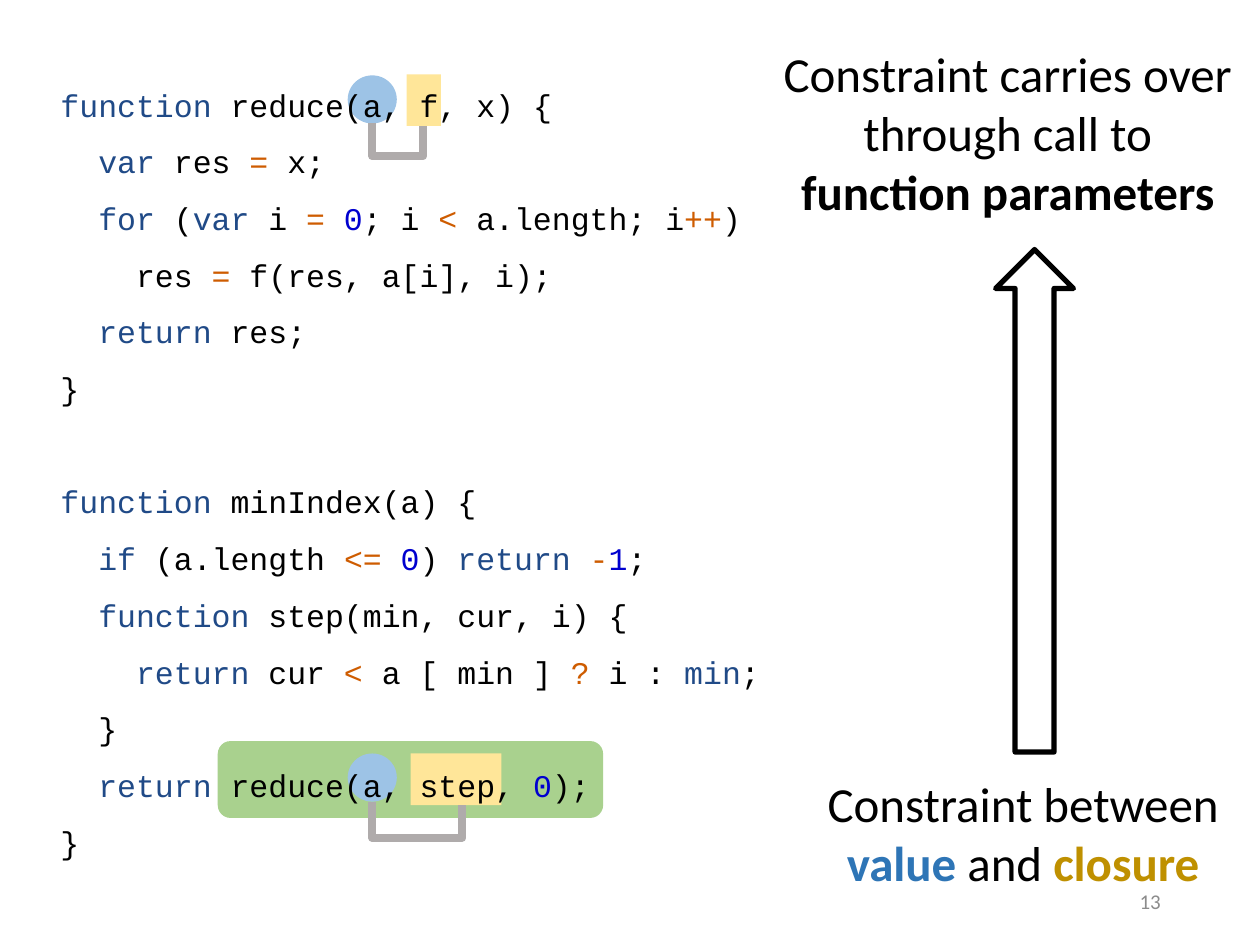
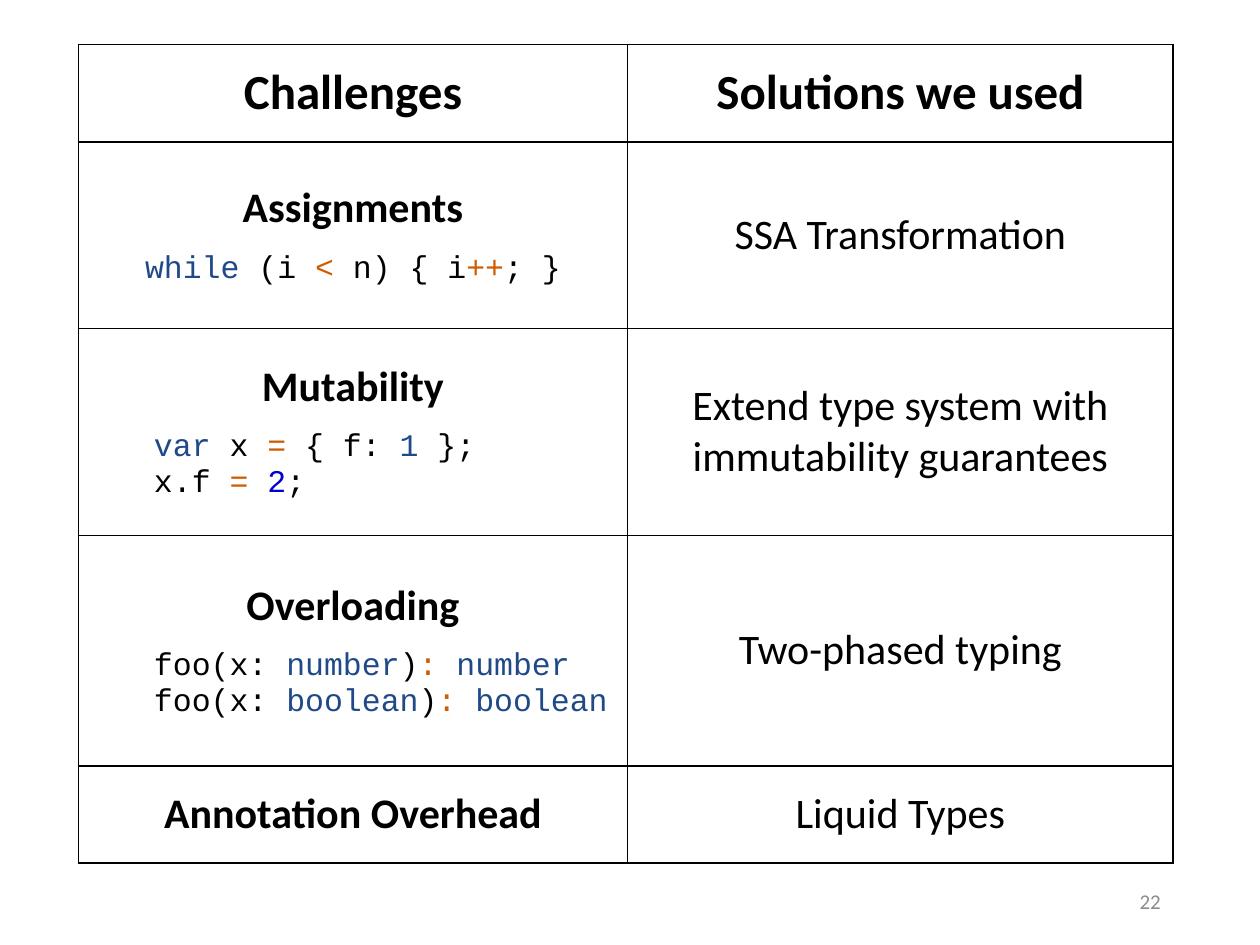
"""Build two slides on constraint inference: a call example and a table of challenges."""
from lxml.etree import SubElement
from pptx import Presentation
from pptx.dml.color import RGBColor
from pptx.enum.shapes import MSO_CONNECTOR, MSO_SHAPE
from pptx.enum.text import MSO_ANCHOR, PP_ALIGN
from pptx.oxml.ns import qn
from pptx.util import Cm, Pt

COLORS = {
    "text": "000000",
    "keyword": "204A87",
    "operator": "CE5C00",
    "number": "0000CF",
    "value": "2E75B6",
    "closure": "BF9000",
    "call_fill": "A9D18E",
    "value_fill": "9DC3E6",
    "closure_fill": "FFE699",
    "bracket": "AFABAB",
    "page": "8C8C8C",
}
MARKS = {
    "k": ("keyword", False),
    "o": ("operator", False),
    "n": ("number", False),
    "v": ("value", True),
    "c": ("closure", True),
    "b": ("text", True),
}
CODE = {"size": 18, "font": "Courier New"}
CAPTION = {"size": 28, "align": PP_ALIGN.CENTER}
CELL = {"size": 24, "align": PP_ALIGN.CENTER}

REDUCE = [
    "~kfunction~ reduce(a, f, x) {",
    "  ~kvar~ res ~o=~ x;",
    "  ~kfor~ (~kvar ~i ~o= ~~n0~; i ~o< ~a.length; i~o++~)",
    "    res ~o=~ f(res, a[i], i);",
    "  ~kreturn~ res;",
    "}",
]
MIN_INDEX = [
    "~kfunction ~minIndex(a) {",
    "  ~kif~ (a.length ~o<= ~~n0~) ~kreturn ~~o-~~n1~;",
    "  ~kfunction~ step(min, cur, i) {",
    "    ~kreturn~ cur ~o<~ a [ min ] ~o? ~i : ~kmin~;",
    "  }",
    "  ~kreturn~ reduce(a, step, ~n0~);",
    "}",
]
CHALLENGES = [
    ("Assignments", ["~kwhile~ (i ~o<~ n) { i~o++~; }"], "SSA Transformation"),
    ("Mutability", ["~kvar~ x ~o=~ { f: ~k1~ };", "x.f ~o= ~~n2~;"],
     "Extend type system with immutability guarantees"),
    ("Overloading", ["foo(x: ~knumber~)~o: ~~knumber~",
                     "foo(x: ~kboolean~)~o: ~~kboolean~"], "Two-phased typing"),
    ("Annotation Overhead", [], "Liquid Types"),
]
COLUMN_WIDTHS = [11.07, 11]
ROW_HEIGHTS = [1.96, 3.76, 4.17, 4.65, 1.96]


def color(name):
    return RGBColor.from_string(COLORS[name])


def write(frame, text, size=18, font="Calibri", tone="text", bold=False,
          align=PP_ALIGN.LEFT, spacing=1.0, before=0, indent=0):
    """Add a paragraph; a stretch like ~kvar~ takes the format of mark k."""
    paragraph = frame.paragraphs[-1]
    if paragraph.runs:
        paragraph = frame.add_paragraph()
    paragraph.alignment = align
    paragraph.line_spacing = spacing
    if before:
        paragraph.space_before = Pt(before)
    if indent:
        paragraph._p.get_or_add_pPr().set("marL", str(Cm(indent)))
    for index, part in enumerate(text.split("~")):
        if not part:
            continue
        part_tone, part_bold = tone, bold
        if index % 2:
            part_tone, part_bold = MARKS[part[0]]
            part = part[1:]
        run = paragraph.add_run()
        run.text = part
        run.font.name = font
        run.font.size = Pt(size)
        run.font.bold = part_bold
        run.font.color.rgb = color(part_tone)


def add_text_frame(slide, left, top, width, height, anchor=MSO_ANCHOR.TOP):
    box = slide.shapes.add_textbox(Cm(left), Cm(top), Cm(width), Cm(height))
    frame = box.text_frame
    frame.word_wrap = True
    frame.vertical_anchor = anchor
    return frame


def add_page_number(slide, number):
    frame = add_text_frame(slide, 17.93, 17.65, 5.72, 1.02, MSO_ANCHOR.MIDDLE)
    write(frame, str(number), size=12, tone="page", align=PP_ALIGN.RIGHT)


def add_highlight(slide, kind, left, top, width, height, fill):
    shape = slide.shapes.add_shape(kind, Cm(left), Cm(top), Cm(width), Cm(height))
    shape.shadow.inherit = False
    shape.fill.solid()
    shape.fill.fore_color.rgb = color(fill)
    shape.line.fill.background()


def add_bracket(slide, start_x, start_y, end_x, end_y, drop):
    """Join two points by an elbow connector that dips below both of them."""
    rise, span = end_y - start_y, end_x - start_x
    left = (start_x + end_x - rise) / 2
    top = (start_y + end_y - span) / 2
    connector = slide.shapes.add_connector(
        MSO_CONNECTOR.ELBOW, Cm(left), Cm(top), Cm(left + rise), Cm(top + span))
    connector.line.color.rgb = color("bracket")
    connector.line.width = Pt(4.5)
    properties = connector._element.spPr
    SubElement(properties, qn("a:effectLst"))
    transform = properties.find(qn("a:xfrm"))
    transform.set("rot", str(270 * 60000))
    transform.set("flipH", "1")
    adjustments = properties.find(qn("a:prstGeom")).get_or_add_avLst()
    SubElement(adjustments, qn("a:gd"), name="adj1",
               fmla=f"val {round(drop / rise * 100000)}")


def add_argument_pair(slide, value_top, closure_box, bracket_end, drop):
    """Highlight a value and a closure argument and bracket them together."""
    left, top, width = closure_box
    value_left, value_width, value_height, closure_height = 7.01, 0.99, 0.97, 1.04
    add_highlight(slide, MSO_SHAPE.RECTANGLE, left, top, width, closure_height,
                  "closure_fill")
    add_highlight(slide, MSO_SHAPE.OVAL, value_left, value_top, value_width,
                  value_height, "value_fill")
    add_bracket(slide, value_left + value_width / 2, value_top + value_height,
                bracket_end, top + closure_height, drop)


def add_up_arrow(slide, left, top, width, height):
    arrow = slide.shapes.add_shape(
        MSO_SHAPE.DOWN_ARROW, Cm(left), Cm(top), Cm(width), Cm(height))
    arrow.rotation = 180
    arrow.shadow.inherit = False
    arrow.fill.background()
    arrow.line.color.rgb = color("text")
    arrow.line.width = Pt(3)


def set_borders(cell):
    properties = cell._tc.get_or_add_tcPr()
    for position, side in enumerate(("lnL", "lnR", "lnT", "lnB")):
        line = SubElement(properties, qn(f"a:{side}"), w=str(Pt(1)))
        fill = SubElement(line, qn("a:solidFill"))
        SubElement(fill, qn("a:srgbClr"), val=COLORS["text"])
        properties.insert(position, line)


def add_challenge_table(slide):
    table = slide.shapes.add_table(
        len(ROW_HEIGHTS), len(COLUMN_WIDTHS), Cm(1.58), Cm(0.9),
        Cm(sum(COLUMN_WIDTHS)), Cm(sum(ROW_HEIGHTS))).table
    table.first_row = table.horz_banding = False
    for column, width in zip(table.columns, COLUMN_WIDTHS):
        column.width = Cm(width)
    for row, height in zip(table.rows, ROW_HEIGHTS):
        row.height = Cm(height)
    for cell in table.iter_cells():
        cell.vertical_anchor = MSO_ANCHOR.MIDDLE
        cell.fill.background()
        set_borders(cell)
    for column, heading in enumerate(("Challenges", "Solutions we used")):
        write(table.cell(0, column).text_frame, heading, bold=True, **CAPTION)
    for row, (challenge, code, solution) in enumerate(CHALLENGES, start=1):
        frame = table.cell(row, 0).text_frame
        write(frame, challenge, bold=True, **CELL)
        layout = {"indent": 1.27} if len(code) > 1 else {"align": PP_ALIGN.CENTER}
        for index, line in enumerate(code):
            write(frame, line, spacing=1.0 if index else 1.5, **layout, **CODE)
        write(table.cell(row, 1).text_frame, solution, **CELL)


def build_call_slide(slide):
    add_highlight(slide, MSO_SHAPE.ROUNDED_RECTANGLE, 4.39, 14.94, 7.77, 1.55,
                  "call_fill")
    add_argument_pair(slide, 1.52, (8.2, 1.5, 0.69), 8.53, 0.66)
    add_argument_pair(slide, 15.19, (8.28, 15.19, 1.83), 9.32, 0.73)
    code = add_text_frame(slide, 0.97, 1.22, 14.88, 16.41)
    for function in (REDUCE, MIN_INDEX):
        for line in function:
            gap = 32.4 if line == MIN_INDEX[0] else 0
            write(code, line, spacing=1.5, before=gap, **CODE)
    add_up_arrow(slide, 20.07, 5.03, 1.57, 10.13)
    write(add_text_frame(slide, 15.54, 0.76, 9.55, 3.84),
          "Constraint carries over through call to ~bfunction parameters~", **CAPTION)
    write(add_text_frame(slide, 15.85, 15.47, 9.55, 2.64),
          "Constraint between ~vvalue ~and ~cclosure~", **CAPTION)


def main():
    presentation = Presentation()
    presentation.slide_width, presentation.slide_height = Cm(25.4), Cm(19.05)
    blank_layout = presentation.slide_layouts[6]
    for build, number in ((build_call_slide, 13), (add_challenge_table, 22)):
        slide = presentation.slides.add_slide(blank_layout)
        build(slide)
        add_page_number(slide, number)
    presentation.save("out.pptx")


if __name__ == "__main__":
    main()
